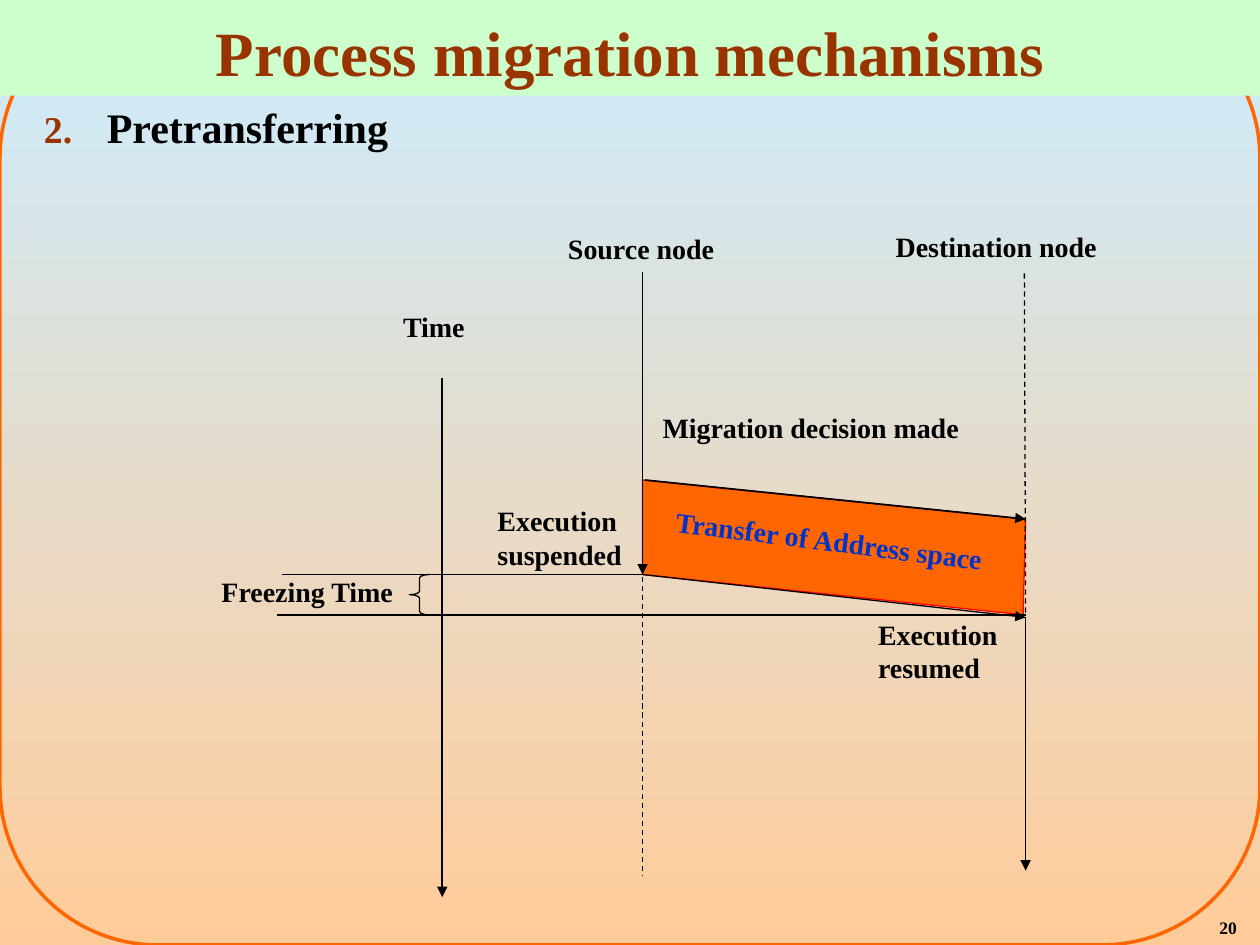
from lxml.etree import SubElement
from pptx import Presentation
from pptx.dml.color import RGBColor
from pptx.enum.dml import MSO_LINE
from pptx.enum.shapes import MSO_CONNECTOR, MSO_SHAPE
from pptx.enum.text import MSO_ANCHOR, MSO_AUTO_SIZE, PP_ALIGN
from pptx.oxml.ns import qn
from pptx.util import Inches, Pt

BLACK, ORANGE, BROWN = "000000", "FF6600", "993300"


def paint(color_format, value):
    """Set a colour from a hex string."""
    color_format.rgb = RGBColor.from_string(value)


def style_shape(shape, fill=None, line=None, width=0.75):
    """Set the fill and outline of a shape, without a shadow."""
    shape.shadow.inherit = False
    if fill:
        shape.fill.solid()
        paint(shape.fill.fore_color, fill)
    else:
        shape.fill.background()
    if line:
        paint(shape.line.color, line)
        shape.line.width = Pt(width)
    else:
        shape.line.fill.background()


def write(frame, text, size=16, color=BLACK, align=PP_ALIGN.LEFT, anchor=MSO_ANCHOR.TOP):
    """Write bold text into a text frame and return its paragraph."""
    frame.word_wrap = True
    frame.auto_size = MSO_AUTO_SIZE.NONE
    frame.vertical_anchor = anchor
    frame.text = text
    paragraph = frame.paragraphs[0]
    paragraph.alignment = align
    font = paragraph.runs[0].font
    font.name, font.size, font.bold = "Times New Roman", Pt(size), True
    paint(font.color, color)
    return paragraph


def add_label(slide, text, left, top, width, height, rotation=0, **text_format):
    """Add a text box and return its paragraph."""
    box = slide.shapes.add_textbox(Inches(left), Inches(top), Inches(width), Inches(height))
    box.rotation = rotation
    return write(box.text_frame, text, **text_format)


def add_line(slide, start, end, width=0.75, dashed=False, arrow=False):
    """Add a black straight line between two points."""
    line = slide.shapes.add_connector(
        MSO_CONNECTOR.STRAIGHT, *(Inches(value) for value in (*start, *end)))
    paint(line.line.color, BLACK)
    line.line.width = Pt(width)
    if dashed:
        line.line.dash_style = MSO_LINE.DASH
    if arrow:
        SubElement(line.line._get_or_add_ln(), qn("a:tailEnd"), type="triangle")
    SubElement(line._element.spPr, qn("a:effectLst"))


def add_backdrop(slide, left, top, width, height):
    """Draw the gradient background, the rounded frame and the page number."""
    fill = slide.background.fill
    fill.gradient()
    fill.gradient_angle = 270
    for stop, color, position in zip(fill.gradient_stops, ("CCECFF", "FFCC99"), (0, 1)):
        paint(stop.color, color)
        stop.position = position
    frame = slide.shapes.add_shape(
        MSO_SHAPE.ROUNDED_RECTANGLE, Inches(left), Inches(top), Inches(width), Inches(height))
    frame.adjustments[0] = 0.167
    style_shape(frame, line=ORANGE, width=2)
    add_label(slide, "20", left + width - 0.42, top + height - 0.27, 0.42, 0.27, size=10)


def add_heading(slide, left, top, width, height):
    """Place the title band in front of the frame."""
    title = slide.shapes.title
    title.left, title.top = Inches(left), Inches(top)
    title.width, title.height = Inches(width), Inches(height)
    title.fill.solid()
    paint(title.fill.fore_color, "CCFFCC")
    write(title.text_frame, "Process migration mechanisms", size=36, color=BROWN,
          align=PP_ALIGN.CENTER, anchor=MSO_ANCHOR.BOTTOM)
    slide.shapes._spTree.append(title._element)


def add_topic(slide, left, top, width, height):
    """Add the numbered topic of the slide."""
    topic = add_label(slide, "Pretransferring", left, top, width, height,
                      size=24, align=PP_ALIGN.JUSTIFY)
    properties = topic._p.get_or_add_pPr()
    properties.set("marL", str(Inches(0.5)))
    properties.set("indent", str(Inches(-0.5)))
    SubElement(SubElement(properties, qn("a:buClr")), qn("a:srgbClr"), val=BROWN)
    SubElement(properties, qn("a:buSzPct"), val="90000")
    SubElement(properties, qn("a:buAutoNum"), type="arabicPeriod", startAt="2")
    topic.line_spacing = 1.25


def add_timeline(slide, left, top, width, height):
    """Draw the migration timeline between the source and destination nodes."""
    time, source, destination = left + 1.85, left + 3.44, left + 6.48
    decision, arrival = top + 2.04, top + 2.35
    suspended, resumed = top + 2.79, top + 3.11
    bottom = top + height

    corners = [(source, decision), (destination, arrival),
               (destination - 0.02, resumed), (source, suspended)]
    points = [(Inches(x), Inches(y)) for x, y in corners]
    builder = slide.shapes.build_freeform(*points[0])
    builder.add_line_segments(points[1:], close=True)
    style_shape(builder.convert_to_shape(), fill=ORANGE, line="FF0000")

    solid_arrow = {"width": 1, "arrow": True}
    for start, end, line_format in (
        ((source, suspended), (destination, resumed + 0.02), {"arrow": True}),
        ((time, top + 1.23), (time, bottom), solid_arrow),
        ((source, top + 0.39), (source, suspended), solid_arrow),
        ((destination - 0.01, top + 0.4), (destination, resumed), {"dashed": True}),
        ((destination, resumed + 0.02), (destination, bottom - 0.21), solid_arrow),
        ((time, suspended), (source, suspended), {}),
        ((source + 0.02, decision), (destination, arrival), solid_arrow),
        ((time, suspended), (left + 0.58, suspended), {}),
        ((destination, resumed), (left + 0.54, resumed), {}),
        ((source, suspended + 0.02), (source, bottom - 0.17), {"dashed": True}),
    ):
        add_line(slide, start, end, **line_format)

    brace = slide.shapes.add_shape(
        MSO_SHAPE.LEFT_BRACE, Inches(time - 0.26), Inches(suspended),
        Inches(0.16), Inches(resumed - suspended))
    brace.adjustments[0] = 0.17
    style_shape(brace, line=BLACK)

    for text, x, y, label_width, label_height in (
        ("Time", 1.44, 0.64, 0.89, 0.54),
        ("Source node", 2.75, 0.02, 1.5, 0.54),
        ("Destination node", 5.35, 0, 2.02, 0.54),
        ("Execution suspended", 2.19, 2.18, 1.3, 0.73),
        ("Migration decision made", 3.5, 1.44, 2.75, 0.49),
        ("Freezing Time", 0, 2.74, 2.16, 0.34),
        ("Execution resumed", 5.21, 3.08, 1.19, 0.65),
    ):
        add_label(slide, text, left + x, top + y, label_width, label_height)
    add_label(slide, "Transfer of Address space", left + 3.6, top + 2.34, 2.73, 0.36,
              rotation=7.1, color="0033CC")


def main():
    """Build and save the slide."""
    deck = Presentation()
    deck.slide_width, deck.slide_height = Inches(10), Inches(7.5)
    slide = deck.slides.add_slide(deck.slide_layouts[5])
    add_backdrop(slide, 0, 0, 10, 7.5)
    add_heading(slide, 0, 0, 10, 0.76)
    add_topic(slide, 0.25, 0.66, 9.5, 6.59)
    add_timeline(slide, 1.66, 1.77, 7.37, 5.35)
    deck.save("out.pptx")


if __name__ == "__main__":
    main()
